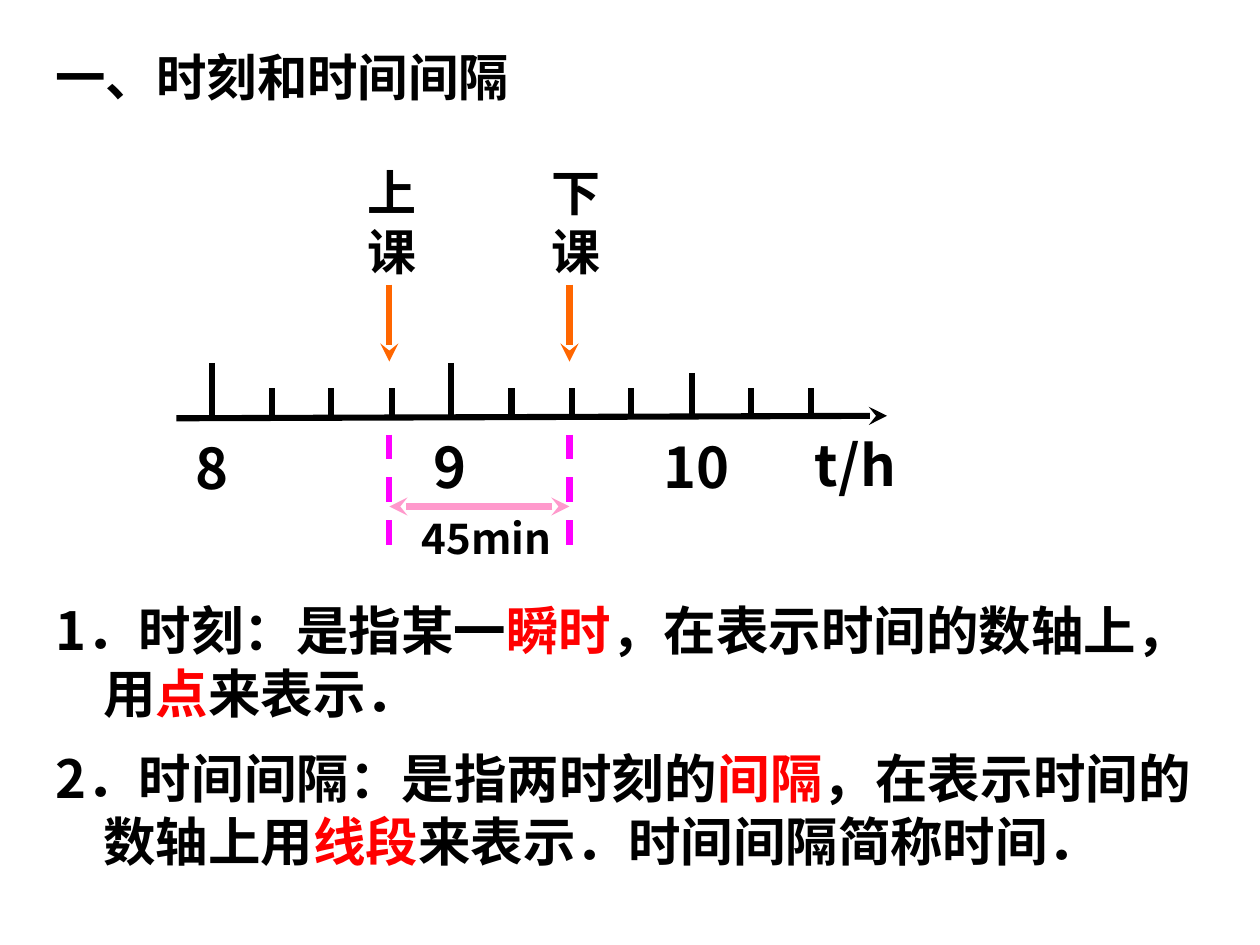
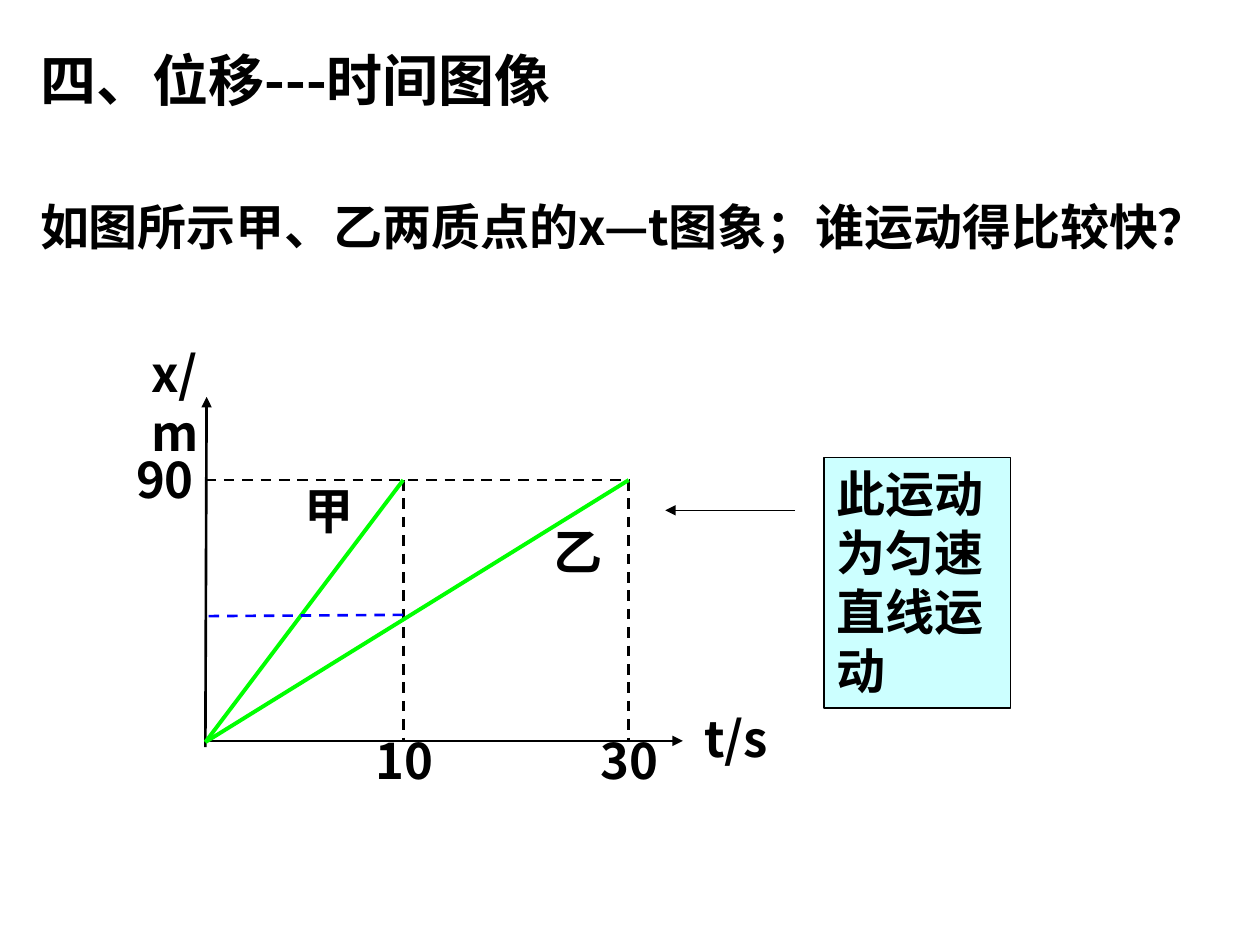
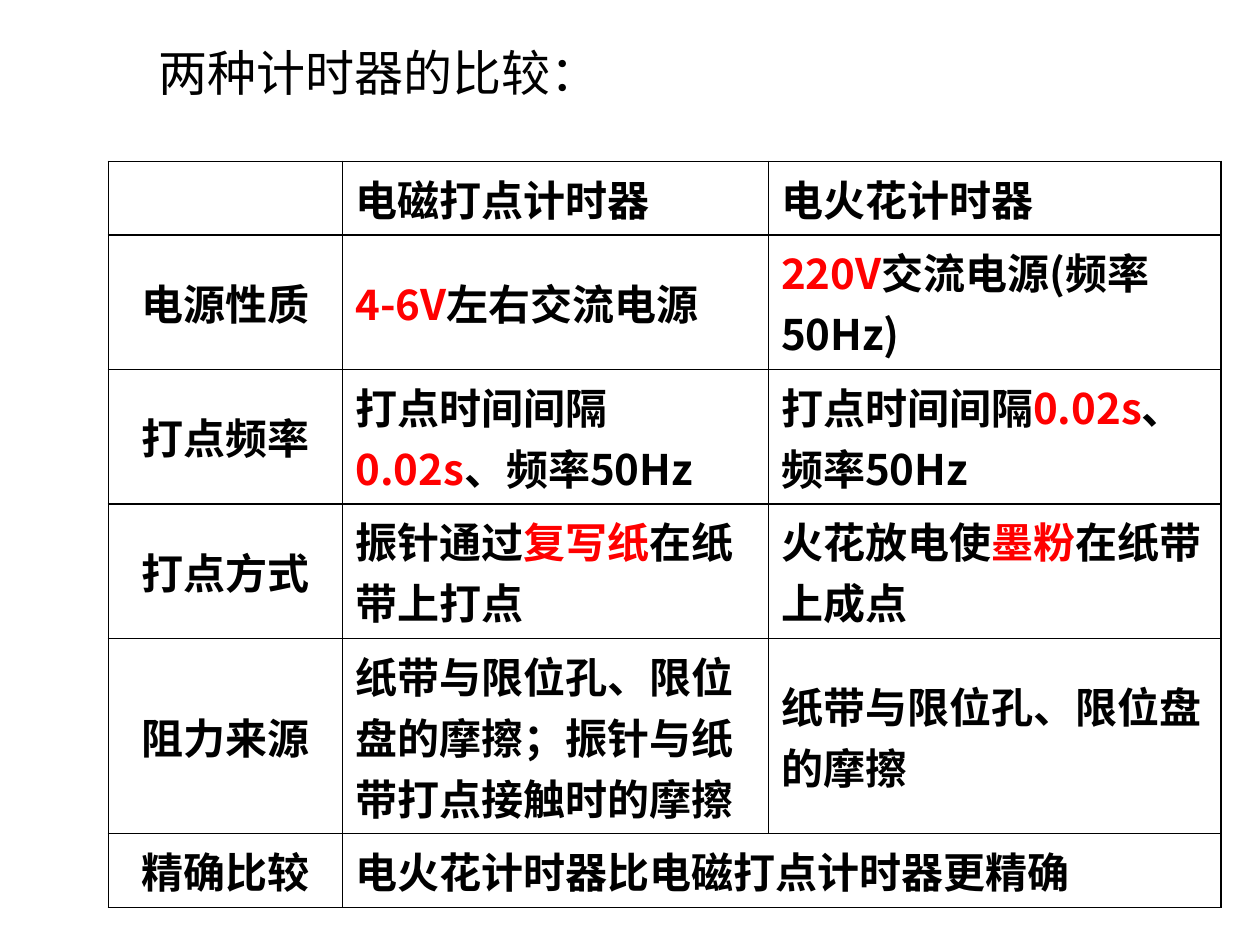
from dataclasses import dataclass
from typing import Optional

from lxml.etree import SubElement
from pptx import Presentation
from pptx.dml.color import RGBColor
from pptx.enum.dml import MSO_LINE
from pptx.enum.shapes import MSO_CONNECTOR, MSO_SHAPE
from pptx.enum.text import MSO_ANCHOR, MSO_AUTO_SIZE, PP_ALIGN
from pptx.oxml.ns import qn
from pptx.util import Emu, Pt

FONT = "Noto Sans CJK SC"
COLORS = {
    "ink": "000000", "key": "FF0000", "arrow": "FF6600", "span": "FF99CC",
    "guide": "FF00FF", "graph": "00FF00", "level": "0000FF", "note": "CCFFFF",
}


@dataclass(frozen=True)
class Label:
    text: str
    left: int
    top: int
    width: int
    height: int
    size: float = 28
    align: PP_ALIGN = PP_ALIGN.LEFT
    pad: int = 10
    bold: bool = True
    space: Optional[float] = None
    margin: int = 0
    indent: int = 0
    anchor: MSO_ANCHOR = MSO_ANCHOR.TOP
    wrap: bool = True


@dataclass(frozen=True)
class Line:
    x1: int
    y1: int
    x2: int
    y2: int
    color: str = "ink"
    weight: float = 1.5
    head: str = ""
    tail: str = ""
    dash: bool = False


def px(count: int) -> Emu:
    return Emu(count * 9144)


def paint(name: str) -> RGBColor:
    return RGBColor.from_string(COLORS[name])


def write(par, text: str, size: float, bold: bool = True) -> None:
    for spot, part in enumerate(text.split("*")):
        if part:
            run = par.add_run()
            run.text = part
            if spot % 2:
                run.font.color.rgb = paint("key")
    font = par.font
    font.size, font.bold, font.name = Pt(size), bold, FONT
    font.color.rgb = paint("ink")
    props = par._p.pPr.find(qn("a:defRPr"))
    SubElement(props, qn("a:ea")).set("typeface", FONT)


def fill_text(shape, label: Label) -> None:
    shape.left, shape.top = px(label.left), px(label.top)
    shape.width, shape.height = px(label.width), px(label.height)
    frame = shape.text_frame
    frame.auto_size = MSO_AUTO_SIZE.NONE
    frame.word_wrap = label.wrap
    frame.vertical_anchor = label.anchor
    frame.margin_left = frame.margin_right = px(label.pad)
    frame.margin_top = frame.margin_bottom = px(label.pad // 2)
    par = frame.paragraphs[0]
    par.alignment = label.align
    par.space_before = Pt(0)
    if label.space:
        par.line_spacing = label.space
    props = par._p.get_or_add_pPr()
    props.set("marL", str(px(label.margin)))
    props.set("indent", str(px(label.indent)))
    SubElement(props, qn("a:buNone"))
    write(par, label.text, label.size, label.bold)


def add_label(slide, label: Label) -> None:
    fill_text(slide.shapes.add_textbox(0, 0, 0, 0), label)


def add_line(slide, line: Line) -> None:
    link = slide.shapes.add_connector(
        MSO_CONNECTOR.STRAIGHT, px(line.x1), px(line.y1), px(line.x2), px(line.y2))
    link.line.color.rgb = paint(line.color)
    link.line.width = Pt(line.weight)
    if line.dash:
        link.line.dash_style = MSO_LINE.DASH
    props = link._element.spPr
    for tag, kind in (("a:headEnd", line.head), ("a:tailEnd", line.tail)):
        if kind:
            SubElement(props.find(qn("a:ln")), qn(tag)).set("type", kind)
    SubElement(props, qn("a:effectLst"))


def draw_all(slide, lines: list[Line], labels: list[Label]) -> None:
    for line in lines:
        add_line(slide, line)
    for label in labels:
        add_label(slide, label)


def add_time(deck) -> None:
    slide = deck.slides.add_slide(deck.slide_layouts[5])
    fill_text(slide.shapes.title, Label(
        "一、时刻和时间间隔", 34, 37, 418, 58, 28.8, space=0.9))
    bold = 3.5
    start, end = 309, 452
    tops = {0: 288, 4: 288, 8: 296}
    lines = [Line(140, 332, 704, 330, weight=bold, tail="stealth")]
    for step in range(11):
        x = round(168 + 47.6 * step)
        lines.append(Line(x, tops.get(step, 308), x, 330, weight=bold))
    for x in (start, end):
        lines.append(Line(x, 226, x, 287, "arrow", bold, tail="stealth"))
    lines.append(Line(end, 402, start, 402, "span", bold, "stealth", "stealth"))
    for x in (start, end):
        lines.append(Line(x, 345, x, 437, "guide", bold, dash=True))
    draw_all(slide, lines, [
        Label("t/h", 637, 337, 127, 63, 32),
        Label("9", 334, 338, 64, 63, 32),
        Label("10", 517, 338, 87, 63, 32),
        Label("8", 145, 339, 43, 64, 32, wrap=False),
        Label("上课", 282, 124, 57, 103),
        Label("下课", 428, 124, 48, 105),
        Label("45min", 325, 402, 127, 50, 24),
        Label("1．时刻：是指某一*瞬时*，在表示时间的数轴上，用*点*来表示．",
              34, 470, 921, 110, 30, margin=38, indent=-38),
        Label("2．时间间隔：是指两时刻的*间隔*，在表示时间的数轴上用*线段*来表示．"
              "时间间隔简称时间．",
              34, 587, 921, 118, 30, PP_ALIGN.JUSTIFY, margin=38, indent=-38),
    ])


def add_graph(deck) -> None:
    slide = deck.slides.add_slide(deck.slide_layouts[5])
    fill_text(slide.shapes.title, Label(
        "四、位移---时间图像", 22, 28, 455, 76, 32, space=0.9,
        anchor=MSO_ANCHOR.MIDDLE))
    left, base, top = 163, 589, 381
    fast, slow = 320, 499
    lines = [
        Line(162, 588, 542, 588, tail="triangle"),
        Line(left, 593, 164, 315, tail="triangle"),
        Line(left, top, slow, top, dash=True),
    ]
    lines += [Line(x, top, x, base, dash=True) for x in (slow, fast)]
    lines += [Line(left, base, x, top, "graph", 2.25) for x in (fast, slow)]
    lines += [
        Line(fast, 488, 164, 489, "level", dash=True),
        Line(631, 405, 528, 405, weight=0.75, tail="triangle"),
    ]
    marks = [
        ("x/m", 120, 273, 67, 69), ("10", 298, 580, 67, 51),
        ("30", 477, 580, 67, 51), ("90", 108, 357, 67, 69),
        ("甲", 242, 381, 67, 69), ("乙", 439, 414, 67, 70),
        ("t/s", 559, 562, 102, 54),
    ]
    labels = [Label("如图所示甲、乙两质点的x—t图象；谁运动得比较快？",
                    22, 137, 937, 63, space=1.3)]
    labels += [Label(*mark, align=PP_ALIGN.JUSTIFY, pad=0) for mark in marks]
    draw_all(slide, lines, labels)
    note = slide.shapes.add_shape(MSO_SHAPE.RECTANGLE, 0, 0, 0, 0)
    note.shadow.inherit = False
    note.fill.solid()
    note.fill.fore_color.rgb = paint("note")
    note.line.color.rgb = paint("ink")
    note.line.width = Pt(0.75)
    fill_text(note, Label("此运动为匀速直线运动", 654, 363, 148, 199))


def frame_cell(cell) -> None:
    cell.fill.background()
    props = cell._tc.get_or_add_tcPr()
    for spot, side in enumerate("LRTB"):
        edge = SubElement(props, qn(f"a:ln{side}"))
        edge.set("w", str(Pt(1)))
        fill = SubElement(edge, qn("a:solidFill"))
        SubElement(fill, qn("a:srgbClr")).set("val", COLORS["ink"])
        props.insert(spot, edge)


def add_timers(deck) -> None:
    slide = deck.slides.add_slide(deck.slide_layouts[1])
    title = slide.shapes.title._element
    title.getparent().remove(title)
    fill_text(slide.placeholders[1], Label(
        "两种计时器的比较：", 12, 34, 444, 66, bold=False, space=0.9,
        margin=25, indent=79))
    rate = "打点时间间隔*0.02s*、频率50Hz"
    rows = [
        (57, "", "电磁打点计时器", "电火花计时器"),
        (90, "电源性质", "*4-6V*左右交流电源", "*220V*交流电源(频率50Hz)"),
        (90, "打点频率", rate, rate),
        (90, "打点方式", "振针通过*复写纸*在纸带上打点", "火花放电使*墨粉*在纸带上成点"),
        (153, "阻力来源", "纸带与限位孔、限位盘的摩擦；振针与纸带打点接触时的摩擦",
         "纸带与限位孔、限位盘的摩擦"),
        (50, "精确比较", "电火花计时器比电磁打点计时器更精确", ""),
    ]
    widths = (186, 338, 359)
    table = slide.shapes.add_table(
        len(rows), len(widths), px(86), px(128), px(sum(widths)),
        px(sum(row[0] for row in rows))).table
    table.first_row = table.horz_banding = False
    for col, width in zip(table.columns, widths):
        col.width = px(width)
    for r, (height, *texts) in enumerate(rows):
        table.rows[r].height = px(height)
        for c, text in enumerate(texts):
            cell = table.cell(r, c)
            frame_cell(cell)
            cell.vertical_anchor = MSO_ANCHOR.MIDDLE
            par = cell.text_frame.paragraphs[0]
            par.alignment = PP_ALIGN.LEFT if c else PP_ALIGN.CENTER
            write(par, text, 24)
    table.cell(5, 1).merge(table.cell(5, 2))


def main() -> None:
    deck = Presentation()
    deck.slide_width, deck.slide_height = px(1000), px(750)
    add_time(deck)
    add_graph(deck)
    add_timers(deck)
    deck.save("out.pptx")


if __name__ == "__main__":
    main()
